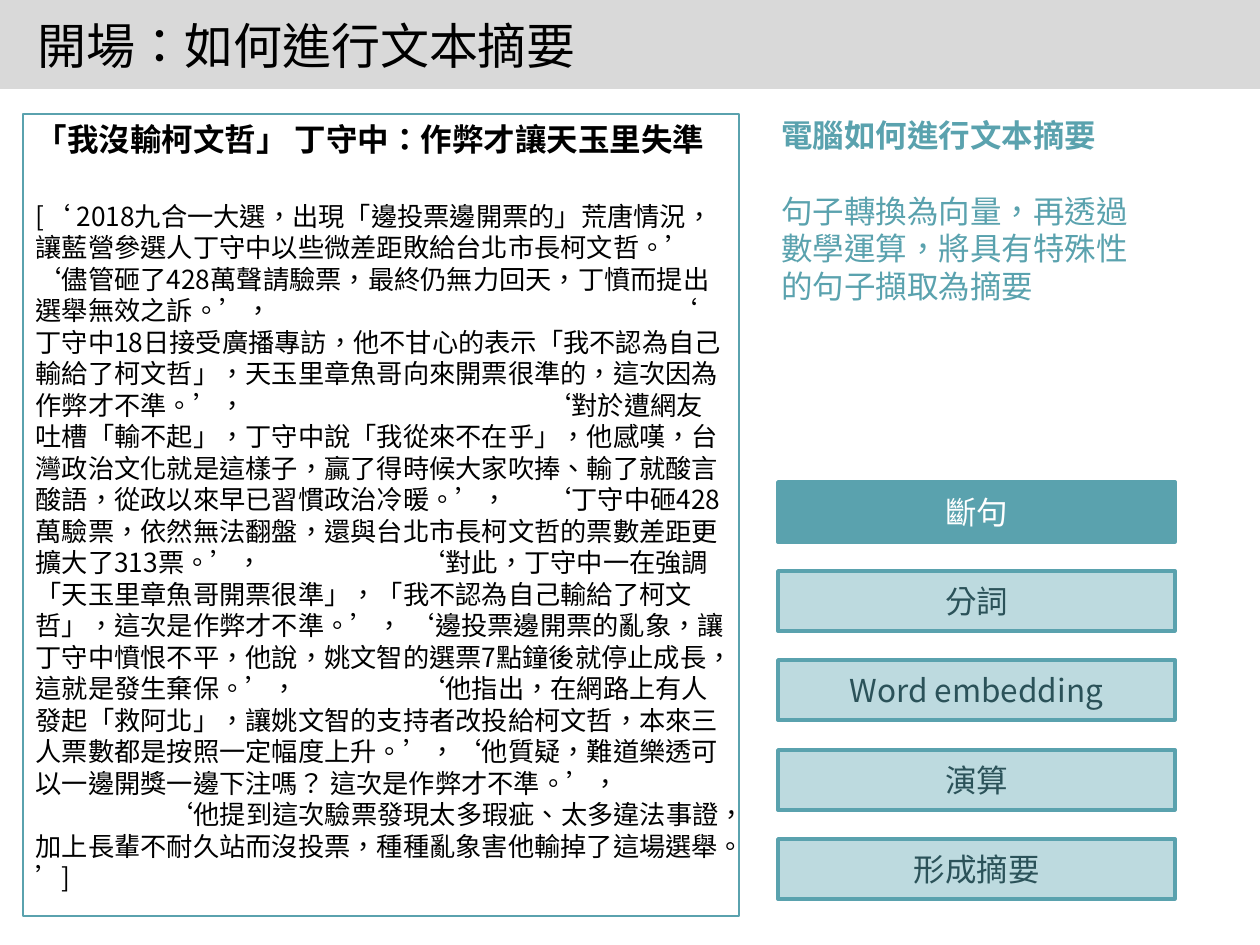
from lxml import etree
from pptx import Presentation
from pptx.dml.color import RGBColor
from pptx.enum.lang import MSO_LANGUAGE_ID as LANG
from pptx.enum.shapes import MSO_SHAPE
from pptx.enum.text import MSO_ANCHOR as ANCHOR, MSO_AUTO_SIZE as AUTO, PP_ALIGN as ALIGN
from pptx.oxml.ns import qn
from pptx.util import Emu, Pt

FONT = "Noto Sans CJK SC"
BLACK = RGBColor(0x00, 0x00, 0x00)
WHITE = RGBColor(0xFF, 0xFF, 0xFF)
GREY = RGBColor(0xD9, 0xD9, 0xD9)
TEAL = RGBColor(0x5A, 0xA2, 0xAE)
PALE = RGBColor(0xBD, 0xDA, 0xDF)
DARK = RGBColor(0x2B, 0x52, 0x59)

HEADLINE = "「我沒輸柯文哲」 丁守中：作弊才讓天玉里失準"
ARTICLE = (
    "[‘ 2018九合一大選，出現「邊投票邊開票的」荒唐情況，讓藍營參選人丁守中以些微差距敗給台北市長柯文哲。’ "
    "‘儘管砸了428萬聲請驗票，最終仍無力回天，丁憤而提出選舉無效之訴。’，\t\t\t\t "
    "‘ 丁守中18日接受廣播專訪，他不甘心的表示「我不認為自己輸給了柯文哲」，"
    "天玉里章魚哥向來開票很準的，這次因為作弊才不準。’，\t\t\t "
    "‘對於遭網友吐槽「輸不起」，丁守中說「我從來不在乎」，他感嘆，台灣政治文化就是這樣子，"
    "贏了得時候大家吹捧、輸了就酸言酸語，從政以來早已習慣政治冷暖。’，\t "
    "‘丁守中砸428萬驗票，依然無法翻盤，還與台北市長柯文哲的票數差距更擴大了313票。’，\t\t "
    "‘對此，丁守中一在強調「天玉里章魚哥開票很準」，「我不認為自己輸給了柯文哲」，這次是作弊才不準。’， "
    "‘邊投票邊開票的亂象，讓丁守中憤恨不平，他說，姚文智的選票7點鐘後就停止成長，這就是發生棄保。’，\t "
    "‘他指出，在網路上有人發起「救阿北」，讓姚文智的支持者改投給柯文哲，"
    "本來三人票數都是按照一定幅度上升。’，"
    "‘他質疑，難道樂透可以一邊開獎一邊下注嗎？ 這次是作弊才不準。’，\t\t\t\t "
    "‘他提到這次驗票發現太多瑕疵、太多違法事證，加上長輩不耐久站而沒投票，種種亂象害他輸掉了這場選舉。’]"
)
SUMMARY = "句子轉換為向量，再透過數學運算，將具有特殊性的句子擷取為摘要"
STEPS = ["斷句", "分詞", "Word embedding", "演算", "形成摘要"]
TAB_WIDTH = 126


def px(n):
    return Emu(round(n * 914400 / 126))


def place(shape, left, top, width, height):
    box = {"left": left, "top": top, "width": width, "height": height}
    for name, value in box.items():
        setattr(shape, name, px(value))


def write(p, text, size, color, bold=False, align=ALIGN.LEFT, before=0):
    p.alignment = align
    p.space_before = Pt(before)
    r = p.add_run()
    r.text = text
    r.font.color.rgb = color
    look = {"size": Pt(size), "bold": bold, "name": FONT, "language_id": LANG.TRADITIONAL_CHINESE}
    for name, value in look.items():
        setattr(r.font, name, value)
    r.font._element.set("altLang", "en-US")
    etree.SubElement(r.font._element, qn("a:ea"), typeface=FONT)


def set_frame(tf, anchor):
    frame = {"word_wrap": True, "auto_size": AUTO.NONE, "vertical_anchor": anchor}
    for name, value in frame.items():
        setattr(tf, name, value)
    return tf


def set_plain(p):
    """Remove the bullet and indent of a list paragraph and set its tab width."""
    pPr = p._p.get_or_add_pPr()
    for name, value in {"marL": 0, "indent": 0, "defTabSz": px(TAB_WIDTH)}.items():
        pPr.set(name, str(int(value)))
    etree.SubElement(pPr, qn("a:buNone"))


def add_rect(s, box, fill, line=None):
    sp = s.shapes.add_shape(MSO_SHAPE.RECTANGLE, *map(px, box))
    sp.shadow.inherit = False
    sp.fill.solid()
    sp.fill.fore_color.rgb = fill
    if line is None:
        sp.line.fill.background()
    else:
        sp.line.color.rgb = line
        sp.line.width = Pt(2)
    return sp


def add_title_bar(s):
    bar = add_rect(s, (0, 0, 1260, 89), GREY)
    s.shapes._spTree.insert(2, bar._element)
    title = s.shapes.title
    place(title, 25, 16, 1134, 58)
    tf = set_frame(title.text_frame, ANCHOR.MIDDLE)
    write(tf.paragraphs[0], "開場：如何進行文本摘要", 28, BLACK)


def add_article(s):
    body = s.placeholders[1]
    place(body, 23, 114, 716, 802)
    body.line.color.rgb = TEAL
    body.line.width = Pt(0.75)
    tf = set_frame(body.text_frame, ANCHOR.TOP)
    heading, text = tf.paragraphs[0], tf.add_paragraph()
    for p in (heading, text):
        set_plain(p)
    write(heading, HEADLINE, 18, BLACK, bold=True)
    write(text, ARTICLE, 15, BLACK, before=24)


def add_summary(s):
    sp = s.shapes.add_textbox(*map(px, (769, 110, 387, 204)))
    tf = set_frame(sp.text_frame, ANCHOR.TOP)
    write(tf.paragraphs[0], "電腦如何進行文本摘要", 18, TEAL, bold=True)
    write(tf.add_paragraph(), SUMMARY, 18, TEAL, before=21.5)


def add_step(s, top, text, active):
    fill, color = (TEAL, WHITE) if active else (PALE, DARK)
    sp = add_rect(s, (778, top, 397, 60), fill, TEAL)
    tf = set_frame(sp.text_frame, ANCHOR.MIDDLE)
    write(tf.paragraphs[0], text, 18, color, align=ALIGN.CENTER)


def main():
    prs = Presentation()
    prs.slide_width, prs.slide_height = px(1260), px(945)
    s = prs.slides.add_slide(prs.slide_layouts[1])
    add_title_bar(s)
    add_article(s)
    add_summary(s)
    for i, step in enumerate(STEPS):
        add_step(s, 482 + round(89.25 * i), step, active=i == 0)
    prs.save("out.pptx")


if __name__ == "__main__":
    main()
